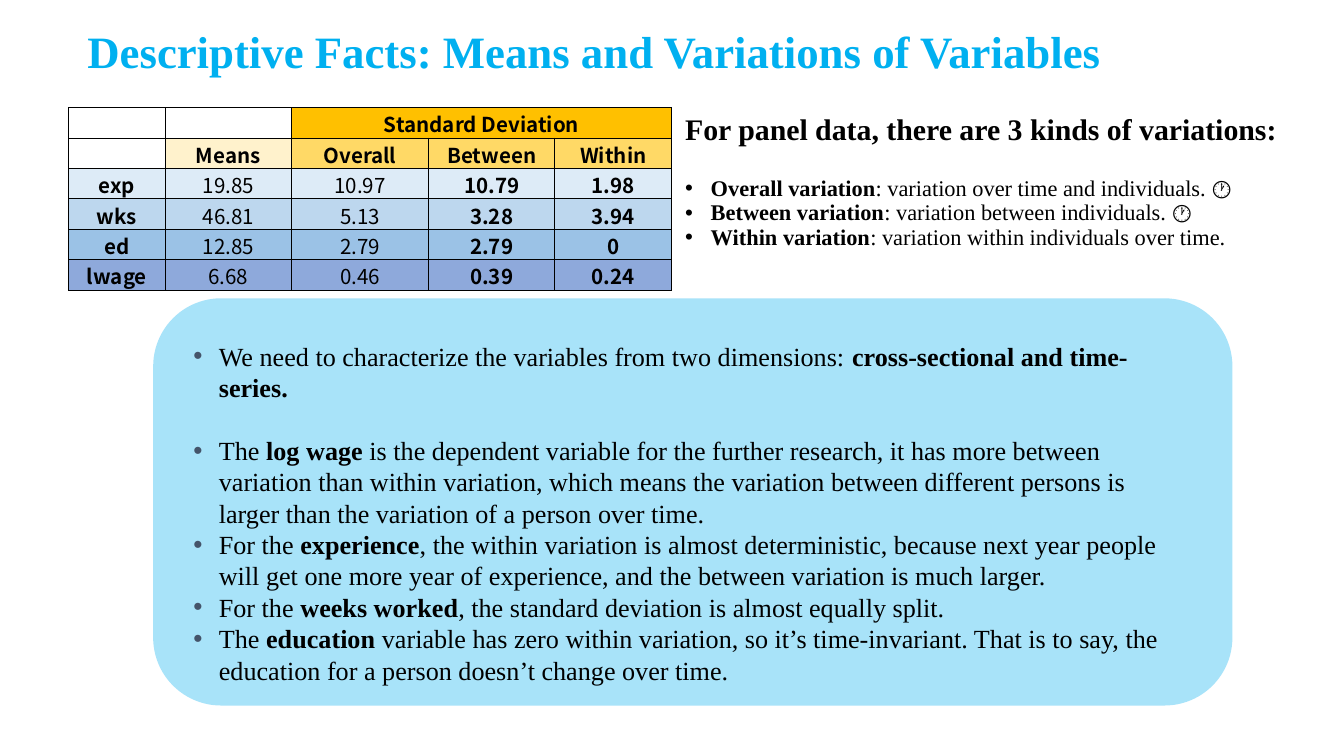
from lxml.etree import SubElement
from pptx import Presentation
from pptx.dml.color import RGBColor
from pptx.enum.shapes import MSO_SHAPE
from pptx.enum.text import MSO_ANCHOR, MSO_AUTO_SIZE, PP_ALIGN
from pptx.oxml.ns import qn
from pptx.util import Inches, Pt

SERIF, SANS = "Times New Roman", "Noto Sans CJK SC"
BLACK = "000000"
TITLE = "Descriptive Facts: Means and Variations of Variables"
VARIATIONS_HEADING = "**For panel data, there are 3 kinds of variations:**"
VARIATIONS = [
    "**Overall variation**: variation over time and individuals. 🕐",
    "**Between variation**: variation between individuals. 🕐",
    "**Within variation**: variation within individuals over time.",
]
DIMENSIONS = (
    "We need to characterize the variables from two dimensions: "
    "**cross-sectional and time-series.**"
)
FINDINGS = [
    "The **log wage **is the dependent variable for the further research, it has more "
    "between variation than within variation, which means the variation between "
    "different persons is larger than the variation of a person over time.",
    "For the **experience**, the within variation is almost deterministic, because next "
    "year people will get one more year of experience, and the between variation is "
    "much larger.",
    "For the **weeks worked**, the standard deviation is almost equally split.",
    "The **education** variable has zero within variation, so it’s time-invariant. That "
    "is to say, the education for a person doesn’t change over time.",
]
STATISTICS = [
    ["", "", "Standard Deviation", "", ""],
    ["", "Means", "Overall", "Between", "Within"],
    ["exp", "19.85", "10.97", "10.79", "1.98"],
    ["wks", "46.81", "5.13", "3.28", "3.94"],
    ["ed", "12.85", "2.79", "2.79", "0"],
    ["lwage", "6.68", "0.46", "0.39", "0.24"],
]
HEADER_FILLS = [
    [None, None, "FFC000", "FFC000", "FFC000"],
    [None, "FFF2CC", "FFD966", "FFD966", "FFD966"],
]
VARIABLE_FILLS = ["DDEBF7", "BDD7EE", "9BC2E6", "8EA9DB"]
COLUMN_WIDTHS = [0.72, 0.94, 1.02, 0.94, 0.87]
TABLE_HEIGHT = 1.36
PLAIN_COLUMNS = (1, 2)


def paint(color, value):
    color.rgb = RGBColor.from_string(value)


def style(font, size, face=SERIF, color=BLACK, bold=False):
    font.size, font.name, font.bold = Pt(size), face, bold
    paint(font.color, color)


def set_insets(frame, left, top, right, bottom):
    frame.margin_left, frame.margin_top = Inches(left), Inches(top)
    frame.margin_right, frame.margin_bottom = Inches(right), Inches(bottom)


def add_text_area(slide, left, top, width, height, top_inset=0):
    frame = slide.shapes.add_textbox(*map(Inches, (left, top, width, height))).text_frame
    frame.word_wrap = True
    set_insets(frame, 0.1, top_inset, 0.1, 0)
    return frame


def add_bullet(paragraph, color):
    properties = paragraph._p.get_or_add_pPr()
    properties.set("marL", str(Inches(0.19)))
    properties.set("indent", str(-Inches(0.19)))
    bullet_color = SubElement(properties, qn("a:buClr"))
    SubElement(bullet_color, qn("a:srgbClr"), val=color)
    SubElement(properties, qn("a:buFont"), typeface="Arial")
    SubElement(properties, qn("a:buChar"), char="•")


def write(paragraph, marked, size, spacing, before=0, bullet=None):
    if bullet:
        add_bullet(paragraph, bullet)
    paragraph.line_spacing = spacing
    paragraph.space_before = Pt(before)
    for index, part in enumerate(marked.split("**")):
        if part:
            run = paragraph.add_run()
            run.text = part
            style(run.font, size, bold=index % 2 == 1)


def add_title(slide):
    title = slide.shapes.title
    title.left, title.top, title.width, title.height = map(Inches, (0.65, -0.02, 8.93, 0.57))
    frame = title.text_frame
    frame.text = TITLE
    frame.auto_size = MSO_AUTO_SIZE.NONE
    frame.vertical_anchor = MSO_ANCHOR.TOP
    set_insets(frame, 0, 0.2, 0, 0)
    frame.paragraphs[0].alignment = PP_ALIGN.LEFT
    style(frame.paragraphs[0].runs[0].font, 24, color="00B0F0", bold=True)


def add_variations(slide):
    frame = add_text_area(slide, 5, 0.69, 4.73, 1.64)
    write(frame.paragraphs[0], VARIATIONS_HEADING, 16, 1.5)
    for index, variation in enumerate(VARIATIONS):
        before = 16.6 if index == 0 else 0
        write(frame.add_paragraph(), variation, 12, 0.9, before, BLACK)


def add_findings(slide):
    panel = slide.shapes.add_shape(
        MSO_SHAPE.ROUNDED_RECTANGLE, *map(Inches, (1.14, 2.22, 8.03, 3.03))
    )
    panel.shadow.inherit = False
    panel.line.fill.background()
    panel.fill.solid()
    paint(panel.fill.fore_color, "00AEEF")
    fill_color = panel._element.spPr.find(qn("a:solidFill"))[0]
    SubElement(fill_color, qn("a:alpha"), val="34000")

    frame = add_text_area(slide, 1.34, 2.3, 7.63, 2.69, top_inset=0.23)
    write(frame.paragraphs[0], DIMENSIONS, 14, 1.0, bullet="44546A")
    for index, finding in enumerate(FINDINGS):
        before = 16.9 if index == 0 else 0
        write(frame.add_paragraph(), finding, 14, 1.0, before, "44546A")


def add_borders(cell):
    properties = cell._tc.get_or_add_tcPr()
    for side in ("a:lnL", "a:lnR", "a:lnT", "a:lnB"):
        border = SubElement(properties, qn(side), w=str(Pt(0.5)))
        fill = SubElement(border, qn("a:solidFill"))
        SubElement(fill, qn("a:srgbClr"), val=BLACK)


def add_statistics(slide):
    fills = HEADER_FILLS + [[fill] * len(COLUMN_WIDTHS) for fill in VARIABLE_FILLS]
    table = slide.shapes.add_table(
        len(STATISTICS), len(COLUMN_WIDTHS), Inches(0.51), Inches(0.8),
        Inches(sum(COLUMN_WIDTHS)), Inches(TABLE_HEIGHT),
    ).table
    table.first_row = table.horz_banding = False
    for column, width in zip(table.columns, COLUMN_WIDTHS):
        column.width = Inches(width)
    for r, values in enumerate(STATISTICS):
        for c, value in enumerate(values):
            cell = table.cell(r, c)
            add_borders(cell)
            if fills[r][c]:
                cell.fill.solid()
                paint(cell.fill.fore_color, fills[r][c])
            else:
                cell.fill.background()
            set_insets(cell, 0.01, 0.01, 0.01, 0)
            cell.vertical_anchor = MSO_ANCHOR.MIDDLE
            paragraph = cell.text_frame.paragraphs[0]
            paragraph.text = value
            paragraph.alignment = PP_ALIGN.CENTER
            bold = r < len(HEADER_FILLS) or c not in PLAIN_COLUMNS
            for font in [paragraph.font] + [run.font for run in paragraph.runs]:
                style(font, 11, SANS, bold=bold)
    table.cell(0, 2).merge(table.cell(0, 4))


def main():
    presentation = Presentation()
    presentation.slide_width = Inches(10)
    presentation.slide_height = presentation.slide_width * 9 // 16
    slide = presentation.slides.add_slide(presentation.slide_layouts[5])
    add_title(slide)
    add_variations(slide)
    add_findings(slide)
    add_statistics(slide)
    presentation.save("out.pptx")


if __name__ == "__main__":
    main()
